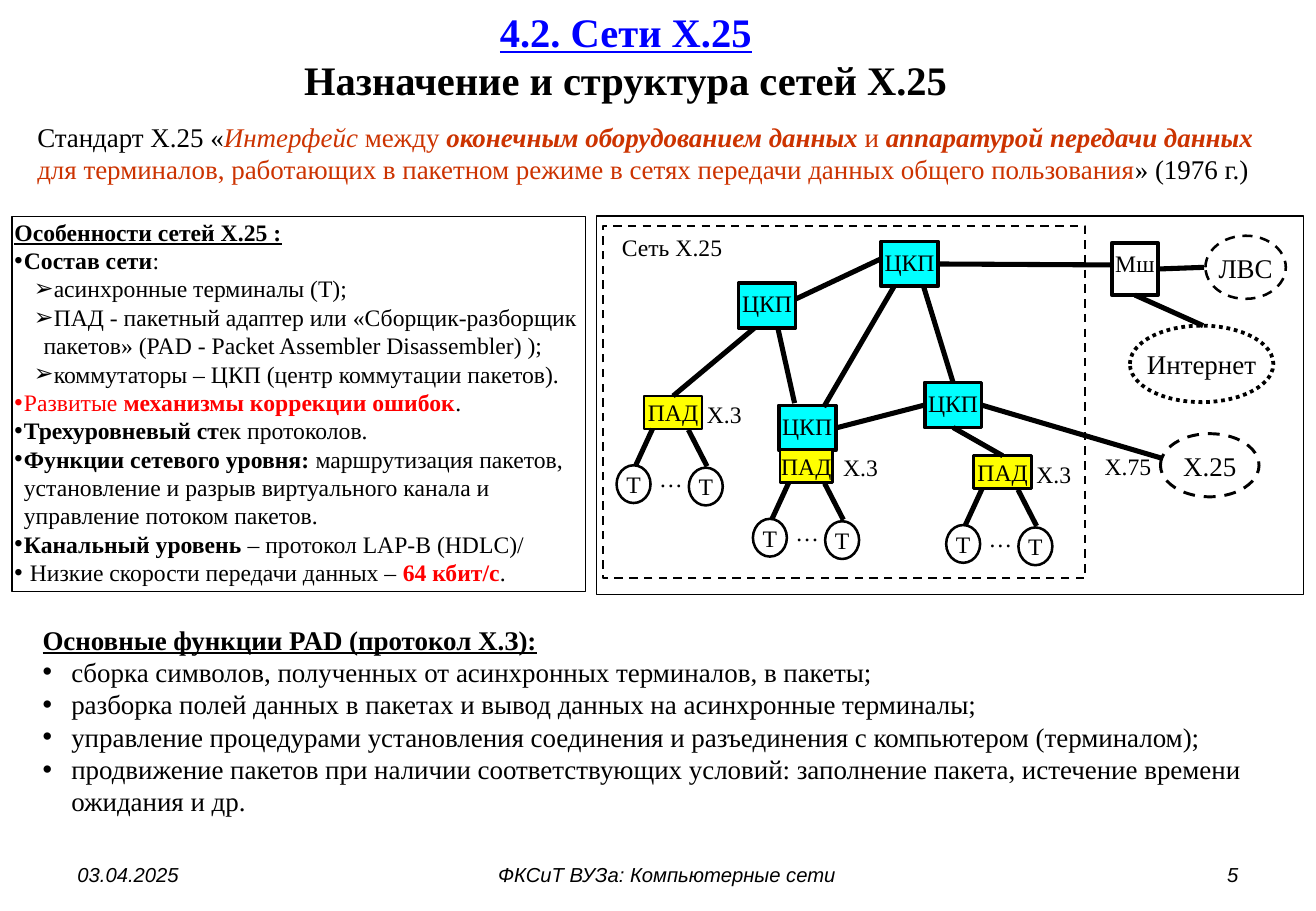
"""Builds the slide on the purpose and structure of X.25 networks."""
import lxml.etree
import pptx
import pptx.dml.color
import pptx.enum.dml
import pptx.enum.shapes
import pptx.enum.text
import pptx.oxml.ns
import pptx.util

Cm = pptx.util.Cm
Pt = pptx.util.Pt
Shape = pptx.enum.shapes.MSO_SHAPE
Dash = pptx.enum.dml.MSO_LINE
Align = pptx.enum.text.PP_ALIGN
Anchor = pptx.enum.text.MSO_ANCHOR

COLORS = {"black": "000000", "white": "FFFFFF", "blue": "0000FF", "rust": "CC3300",
          "red": "FF0000", "cyan": "00FFFF", "yellow": "FFFF00"}
SERIF, SANS = "Times New Roman", "Arial"

TITLE = ["4.2. Сети Х.25", "Назначение и структура сетей Х.25"]

STANDARD = [(None, [
    ("Стандарт Х.25 «", "", "black"),
    ("Интерфейс", "i", "rust"),
    (" между ", "", "rust"),
    ("оконечным оборудованием данных ", "bi", "rust"),
    ("и ", "", "rust"),
    ("аппаратурой передачи данных ", "bi", "rust"),
    ("для терминалов, работающих в пакетном режиме в сетях передачи данных "
     "общего пользования", "", "rust"),
    ("» (1976 г.)", "", "black")])]

FEATURES = [
    (None, [("Особенности сетей Х.25 :", "bu", "black")]),
    ("•", [("Состав сети", "b", "black"), (":", "", "black")]),
    ("➢", [("асинхронные терминалы (Т);", "", "black")]),
    ("➢", [("ПАД - пакетный адаптер или «Сборщик-разборщик пакетов» "
            "(PAD - Packet Assembler Disassembler) );", "", "black")]),
    ("➢", [("коммутаторы – ЦКП (центр коммутации пакетов).", "", "black")]),
    ("•", [("Развитые ", "", "red"), ("механизмы коррекции ошибок", "b", "red"),
           (".", "", "black")]),
    ("•", [("Трехуровневый ст", "b", "black"), ("ек протоколов.", "", "black")]),
    ("•", [("Функции сетевого уровня:", "b", "black"),
           (" маршрутизация пакетов, установление и разрыв виртуального канала "
            "и управление потоком пакетов.", "", "black")]),
    ("•", [("Канальный уровень ", "b", "black"),
           ("– протокол LAP-B (HDLC)/", "", "black")]),
    ("•", [(" Низкие скорости передачи данных – ", "", "black"),
           ("64 кбит/с", "b", "red"), (".", "", "black")]),
]

PAD_FUNCTIONS = [(None, [("Основные функции PAD (протокол Х.З):", "bu", "black")])] + [
    ("•", [(line, "", "black")]) for line in (
        "сборка символов, полученных от асинхронных терминалов, в пакеты;",
        "разборка полей данных в пакетах и вывод данных на асинхронные терминалы;",
        "управление процедурами установления соединения и разъединения с компьютером "
        "(терминалом);",
        "продвижение пакетов при наличии соответствующих условий: заполнение пакета, "
        "истечение времени ожидания и др.")]

FOOTER = [("03.04.2025", 1.37, 6.43, Align.LEFT),
          ("ФКСиТ ВУЗа: Компьютерные сети", 8.51, 10.87, Align.CENTER),
          ("5", 19.71, 6.43, Align.RIGHT)]

STYLES = {
    "frame": (Shape.RECTANGLE, None, 0.75, None, 14, None),
    "network": (Shape.RECTANGLE, None, 1.25, Dash.DASH, 14, None),
    "switch": (Shape.RECTANGLE, "cyan", 2.25, None, 14, 0.13),
    "router": (Shape.RECTANGLE, "white", 2.25, None, 14, 0.13),
    "pad": (Shape.RECTANGLE, "yellow", 1.5, None, 14, None),
    "terminal": (Shape.OVAL, "white", 1.5, None, 14, None),
    "lan": (Shape.OVAL, "white", 1.5, Dash.DASH, 16, None),
    "internet": (Shape.OVAL, "white", 2.25, Dash.ROUND_DOT, 16, None),
    "peer": (Shape.OVAL, "white", 1.75, Dash.DASH, 16, None),
}

NODES = {
    "frame": ("frame", "", (12.47, 4.52, 14.78, 7.92)),
    "network": ("network", "", (12.6, 4.72, 10.08, 7.37)),
    "top switch": ("switch", "ЦКП", (18.42, 5.05, 1.19, 0.94)),
    "left switch": ("switch", "ЦКП", (15.44, 5.92, 1.19, 0.94)),
    "low switch": ("switch", "ЦКП", (16.28, 8.48, 1.19, 0.94)),
    "right switch": ("switch", "ЦКП", (19.33, 8.0, 1.19, 0.94)),
    "router": ("router", "Мш", (23.24, 5.08, 0.97, 1.09)),
    "lan": ("lan", "ЛВС", (25.2, 4.93, 1.68, 1.32)),
    "internet": ("internet", "Интернет", (23.62, 6.81, 3.0, 1.6)),
    "peer": ("peer", "Х.25", (24.26, 9.07, 2.06, 1.32)),
    "left pad": ("pad", "ПАД", (13.46, 8.28, 1.22, 0.69)),
    "low pad": ("pad", "ПАД", (16.31, 9.4, 1.09, 0.69)),
    "right pad": ("pad", "ПАД", (20.35, 9.53, 1.22, 0.69)),
}

TOP, LEFT, BOTTOM, RIGHT = range(4)
LINKS = [
    (("top switch", RIGHT), (23.24, 5.54)),
    (("router", RIGHT), (25.17, 5.59)),
    (("router", BOTTOM), (25.15, 6.81)),
    (("right switch", RIGHT), (24.28, 9.58)),
    ((16.64, 6.25), (18.42, 5.41)),
    ((16.26, 6.86), (16.61, 8.43)),
    ((18.69, 5.99), (17.22, 8.51)),
    ((19.3, 5.97), ("right switch", TOP)),
    (("low switch", RIGHT), ("right switch", LEFT)),
    (("left pad", TOP), (15.77, 6.86)),
    (("right switch", BOTTOM), ("right pad", TOP)),
]

LABELS = [("Сеть Х.25", (12.78, 4.88, 2.54, 0.64)), ("Х.75", (23.01, 9.45, 1.14, 0.58))]

PAD_TERMINALS = [(-0.57, 1.45), (0.94, 1.5)]
PAD_LINKS = [((0.18, 0.69), (-0.17, 1.45)), ((0.93, 0.71), (1.32, 1.47))]
PAD_LABELS = [("…", (0.22, 1.42, 0.69, 0.76)), ("Х.3", (1.11, 0.08, 1.14, 0.58))]


def color(name):
    return pptx.dml.color.RGBColor.from_string(COLORS[name])


def place(shape, area):
    shape.left, shape.top, shape.width, shape.height = map(Cm, area)


def set_frame(shape, insets=(0, 0, 0, 0), wrap=True):
    frame = shape.text_frame
    frame.word_wrap = wrap
    frame.auto_size = pptx.enum.text.MSO_AUTO_SIZE.NONE
    frame.margin_left, frame.margin_top, frame.margin_right, frame.margin_bottom = map(Cm, insets)
    return frame


def set_font(span, size, marks="", tint="black", name=SERIF):
    font = span.font
    font.name, font.size = name, Pt(size)
    font.bold, font.italic, font.underline = "b" in marks, "i" in marks, "u" in marks
    font.color.rgb = color(tint)


def set_bullet(para, mark, margin, hanging):
    properties = para._p.get_or_add_pPr()
    properties.set("marL", str(Cm(margin) if mark else 0))
    properties.set("indent", str(-Cm(hanging) if mark else 0))
    bullet = lxml.etree.SubElement(properties, pptx.oxml.ns.qn("a:buChar" if mark else "a:buNone"))
    if mark:
        bullet.set("char", mark)


def write_list(shape, area, insets, size, lines, margins, hanging):
    place(shape, area)
    frame = set_frame(shape, insets)
    for index, (mark, spans) in enumerate(lines):
        para = frame.add_paragraph() if index else frame.paragraphs[0]
        para.space_before = Pt(0)
        para.level = 1 if mark == "➢" else 0
        set_bullet(para, mark, margins.get(mark, 0), hanging)
        for text, marks, tint in spans:
            span = para.add_run()
            span.text = text
            set_font(span, size, marks, tint)


def write_line(shape, text, size, align=Align.CENTER, marks="", name=SERIF):
    para = shape.text_frame.paragraphs[0]
    para.text, para.alignment = text, align
    for span in para.runs:
        set_font(span, size, marks, "black", name)


def add_label(page, text, area):
    box = page.shapes.add_textbox(*map(Cm, area))
    set_frame(box)
    write_line(box, text, 14)


def add_node(page, style, text, area):
    preset, fill, width, dash, size, inset = STYLES[style]
    node = page.shapes.add_shape(preset, *map(Cm, area))
    node.shadow.inherit = False
    if fill:
        node.fill.solid()
        node.fill.fore_color.rgb = color(fill)
    else:
        node.fill.background()
    node.line.color.rgb, node.line.width = color("black"), Pt(width)
    if dash:
        node.line.dash_style = dash
    frame = set_frame(node, (0, inset or 0, 0, 0), wrap=False)
    frame.vertical_anchor = Anchor.TOP if inset else Anchor.MIDDLE
    if text:
        write_line(node, text, size)
    return node


def add_link(page, nodes, start, end):
    points = [(0, 0) if isinstance(tip[0], str) else tip for tip in (start, end)]
    link = page.shapes.add_connector(pptx.enum.shapes.MSO_CONNECTOR.STRAIGHT,
                                     *(Cm(value) for point in points for value in point))
    for tip, connect in ((start, link.begin_connect), (end, link.end_connect)):
        if isinstance(tip[0], str):
            connect(nodes[tip[0]], tip[1])
    link.line.color.rgb, link.line.width = color("black"), Pt(3)
    lxml.etree.SubElement(link._element.spPr, pptx.oxml.ns.qn("a:effectLst"))


def add_diagram(page):
    nodes = {name: add_node(page, *node) for name, node in NODES.items()}
    for start, end in LINKS:
        add_link(page, nodes, start, end)
    for text, area in LABELS:
        add_label(page, text, area)
    for x, y in [area[:2] for style, _, area in NODES.values() if style == "pad"]:
        for start, end in PAD_LINKS:
            add_link(page, nodes, (x + start[0], y + start[1]), (x + end[0], y + end[1]))
        for dx, dy in PAD_TERMINALS:
            add_node(page, "terminal", "Т", (x + dx, y + dy, 0.71, 0.79))
        for text, (dx, dy, width, height) in PAD_LABELS:
            add_label(page, text, (x + dx, y + dy, width, height))


def main():
    deck = pptx.Presentation()
    deck.slide_width, deck.slide_height = Cm(27.51), Cm(19.05)
    page = deck.slides.add_slide(deck.slide_layouts[3])
    title, features, functions = page.placeholders

    place(title, (1.37, 0.03, 23.42, 2.26))
    set_frame(title, (0.25, 0.13, 0.25, 0.13)).vertical_anchor = Anchor.MIDDLE
    write_line(title, "\v".join(TITLE), 24, marks="b")
    set_font(title.text_frame.paragraphs[0].runs[0], 24, "bu", "blue")

    standard = page.shapes.add_textbox(0, 0, 0, 0)
    write_list(standard, (0.53, 2.39, 26.34, 1.63), (0.25, 0.13, 0.25, 0.13), 16,
               STANDARD, {}, 0)
    write_list(features, (0.25, 4.52, 11.99, 7.85), (0.05, 0.03, 0.05, 0.03), 14,
               FEATURES, {"•": 0.2, "➢": 0.61}, 0.2)
    features.line.color.rgb, features.line.width = color("black"), Pt(0.75)
    write_list(functions, (0.64, 12.9, 26.14, 4.37), (0.25, 0.13, 0.25, 0.13), 16,
               PAD_FUNCTIONS, {"•": 0.6}, 0.6)
    add_diagram(page)

    for text, left, width, align in FOOTER:
        box = page.shapes.add_textbox(Cm(left), Cm(17.91), Cm(width), Cm(0.76))
        set_frame(box, (0.25, 0.13, 0.25, 0.13))
        write_line(box, text, 12, align, "i", SANS)
    deck.save("out.pptx")


if __name__ == "__main__":
    main()
